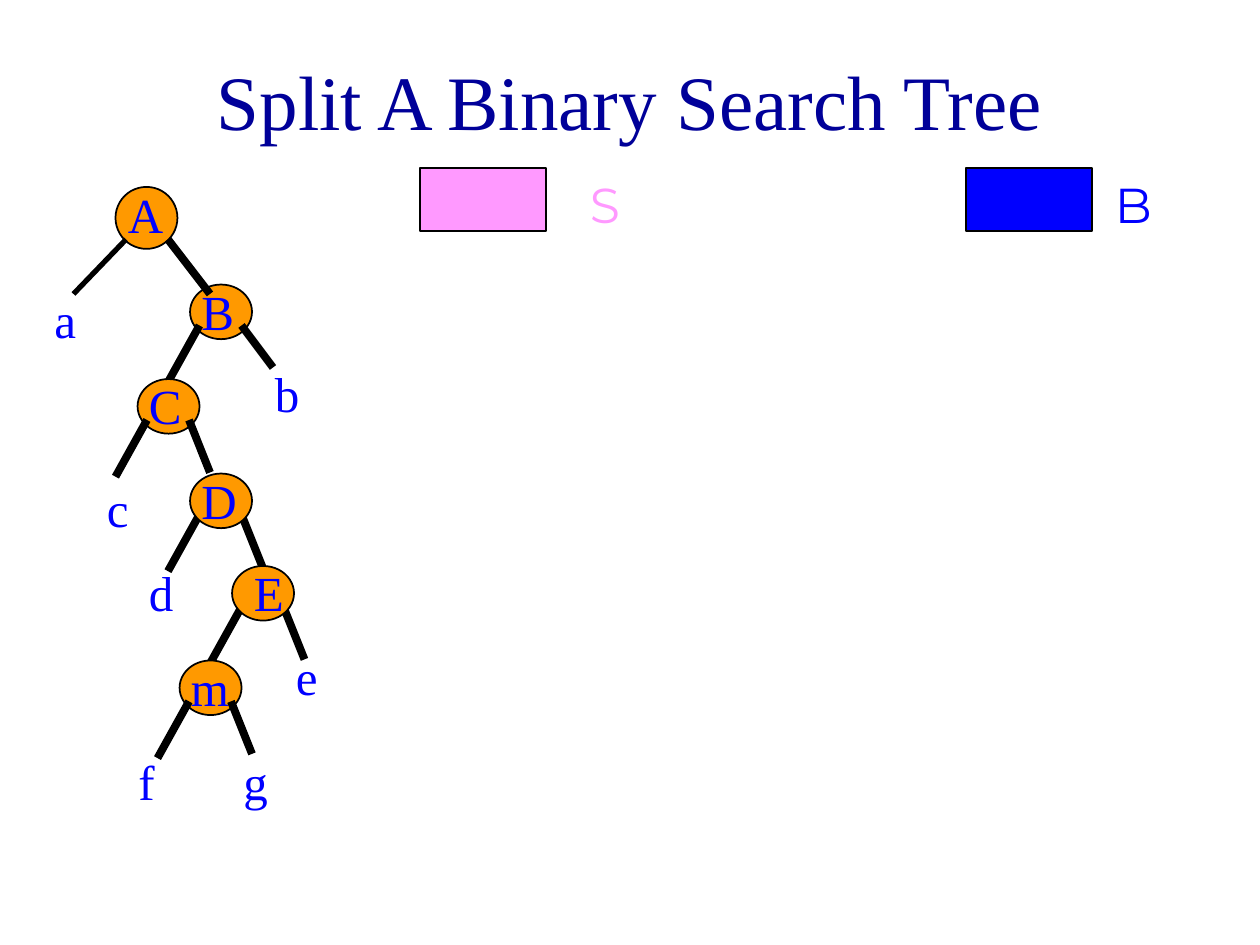
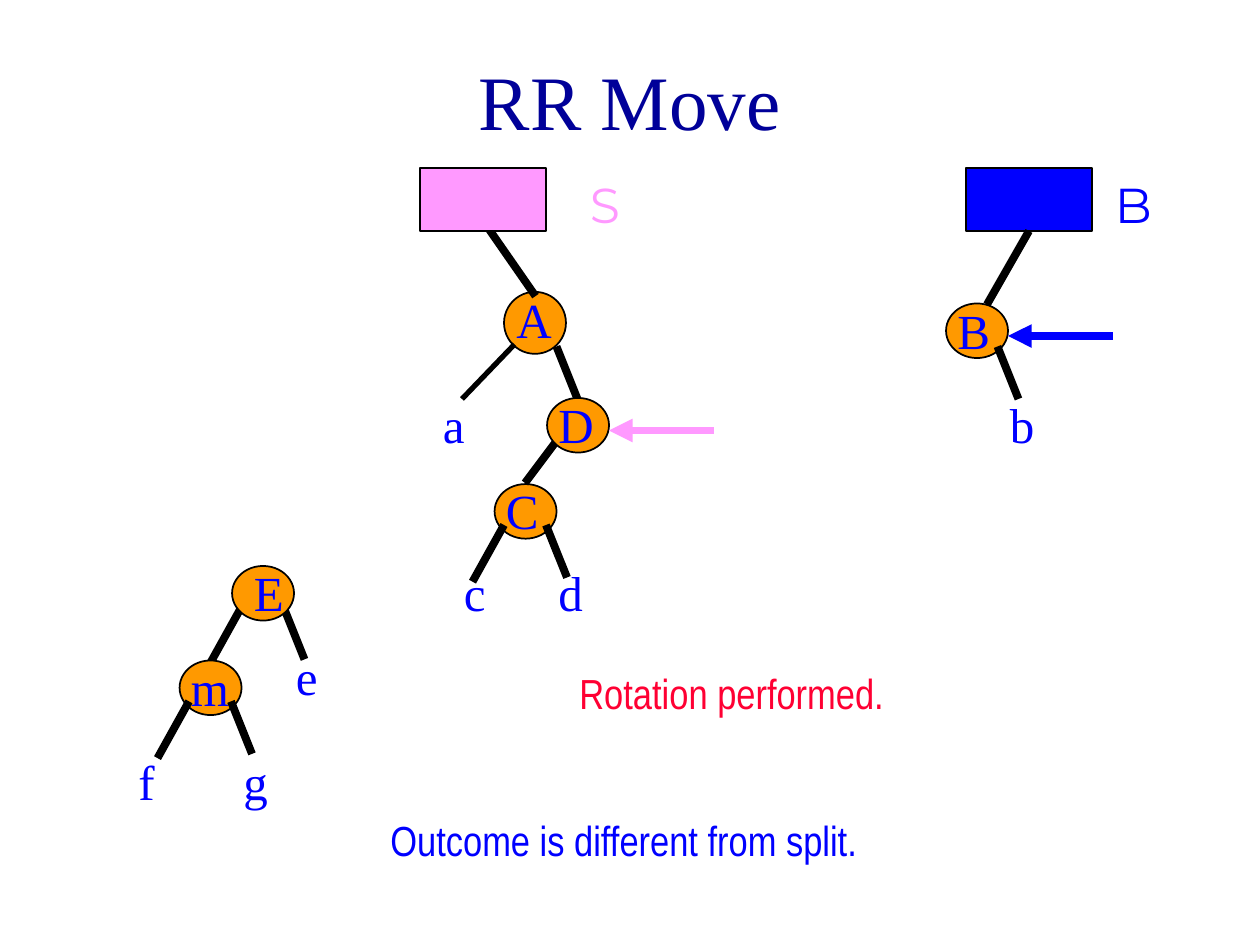
from collections import namedtuple

from lxml import etree
from pptx import Presentation
from pptx.dml.color import RGBColor
from pptx.enum.shapes import MSO_CONNECTOR, MSO_SHAPE
from pptx.enum.text import MSO_ANCHOR, MSO_AUTO_SIZE, PP_ALIGN
from pptx.oxml.ns import qn
from pptx.util import Inches, Pt

OVAL, RECT = MSO_SHAPE.OVAL, MSO_SHAPE.RECTANGLE
LINE = MSO_CONNECTOR.STRAIGHT
LEFT_TEXT, CENTER = PP_ALIGN.LEFT, PP_ALIGN.CENTER
TOP, MIDDLE = MSO_ANCHOR.TOP, MSO_ANCHOR.MIDDLE
FIT, FIXED = MSO_AUTO_SIZE.SHAPE_TO_FIT_TEXT, MSO_AUTO_SIZE.NONE

COLORS = {
    "title": "000099",
    "blue": "0000FF",
    "pink": "FF99FF",
    "node": "FF9900",
    "line": "000000",
    "red": "FF0033",
}
SERIF, SANS, NARROW = "Times New Roman", "Montserrat", "Arial Narrow"

WIDE, HIGH = Inches(10), Inches(7.5)
COLS, ROWS = 120, 90

Node = namedtuple("Node", "name x y arms round shift under", defaults=(False, 0, False))

LEFT = (1, 4.8, -2, 10.2)
RIGHT = (5, 4.8, 7, 9.8)
THIN = (1, 5.8, -4, 11, 3)

UPPER = [
    Node("B", 14, 9.2, [LEFT, (5, 4.8, 8, 8.8)]),
    Node("A", 7, 0, [(5, 5.8, 9, 11), THIN], round=True),
    Node("C", 9, 18.2, [LEFT, RIGHT]),
    Node("D", 14, 27.2, [LEFT, RIGHT], under=True),
]
UPPER_ENDS = [("a", 0, 10), ("b", 21, 17), ("c", 5, 28), ("d", 9, 36)]

LOWER = [
    Node("E", 10, 0, [LEFT, RIGHT], shift=1, under=True),
    Node("m", 5, 9, [LEFT, RIGHT]),
]
LOWER_ENDS = [("e", 15, 8), ("f", 0, 18), ("g", 10, 18)]

SMALL = [
    Node("A", 7, 0, [(3, 1.2, -2, -6), THIN, (5, 6, 7, 11)], round=True),
    Node("C", 6, 18.2, [LEFT, RIGHT]),
    Node("D", 11, 10, [(1, 5, -2, 9)], under=True),
]
SMALL_ENDS = [("a", 0, 10), ("c", 2, 26), ("d", 11, 26)]

BIG = [Node("B", 0, 0, [(5, 5, 7, 10)])]
BIG_ENDS = [("b", 5, 9)]


def col(n):
    return round(WIDE * n / COLS)


def row(n):
    return round(HIGH * n / ROWS)


def place(x, y, w, h):
    return col(x), row(y), col(w), row(h)


def tint(name):
    return RGBColor.from_string(COLORS[name])


def write(slide, box, words, size, font, color, align=LEFT_TEXT, anchor=TOP,
          wrap=True, fit=FIXED, before=0):
    frame = slide.shapes.add_textbox(*place(*box)).text_frame
    frame.word_wrap = wrap
    frame.auto_size = fit
    frame.vertical_anchor = anchor
    para = frame.paragraphs[0]
    para.alignment = align
    para.space_before = Pt(before)
    run = para.add_run()
    run.text = words
    run.font.size = Pt(size)
    run.font.name = font
    run.font.color.rgb = tint(color)


def label(slide, x, y, words, font=SERIF, color="blue", width=6):
    write(slide, (x, y, width, 6.8), words, 28, font, color, fit=FIT, before=17.5)


def solid(slide, kind, box, color):
    shape = slide.shapes.add_shape(kind, *place(*box))
    shape.shadow.inherit = False
    shape.fill.solid()
    shape.fill.fore_color.rgb = tint(color)
    shape.line.color.rgb = tint("line")
    shape.line.width = Pt(1)
    return shape


def stroke(slide, x1, y1, x2, y2, width=4.5, color="line", arrow=False):
    link = slide.shapes.add_connector(LINE, col(x1), row(y1), col(x2), row(y2))
    link.line.color.rgb = tint(color)
    link.line.width = Pt(width)
    props = link._element.spPr
    if arrow:
        etree.SubElement(props.find(qn("a:ln")), qn("a:tailEnd"), type="triangle")
    etree.SubElement(props, qn("a:effectLst"))
    return link


def branch(slide, x, y, arms):
    for x1, y1, x2, y2, *width in arms:
        stroke(slide, x + x1, y + y1, x + x2, y + y2, *width)


def tree(slide, left, top, nodes, ends):
    for node in nodes:
        x, y = left + node.x, top + node.y
        if node.under:
            branch(slide, x, y, node.arms)
        oval = (x, y + 0.8, 5.9, 5.9) if node.round else (x + 0.1, y + 0.9, 5.9, 5.2)
        solid(slide, OVAL, oval, "node")
        label(slide, x + node.shift, y, node.name)
        if not node.under:
            branch(slide, x, y, node.arms)
    for name, x, y in ends:
        label(slide, left + x, top + y, name)


def head(slide, left, name, color, gap):
    rect = solid(slide, RECT, (left, 16, 12, 6), color)
    label(slide, left + gap, 16, name, SANS, color, 11)
    return rect


def small_head(slide):
    head(slide, 40, "S", "pink", 15)


def big_head(slide):
    return head(slide, 92, "B", "blue", 13)


def pointer(slide, x, y, color):
    stroke(slide, x + 10, y, x, y, color=color, arrow=True)


def note(slide, box, words, color):
    write(slide, box, words, 24, NARROW, color, wrap=False)


def start(deck, title):
    slide = deck.slides.add_slide(deck.slide_layouts[6])
    write(slide, (9, 2, 102, 15), title, 44, SERIF, "title", CENTER, MIDDLE)
    return slide


def split_slide(deck):
    slide = start(deck, "Split A Binary Search Tree")
    big_head(slide)
    tree(slide, 4, 17, UPPER, UPPER_ENDS)
    tree(slide, 12, 53, LOWER, LOWER_ENDS)
    small_head(slide)


def move_slide(deck):
    slide = start(deck, "RR Move")
    rect = big_head(slide)
    tree(slide, 90, 28, BIG, BIG_ENDS)
    stroke(slide, 98, 22, 94, 29).begin_connect(rect, 2)
    tree(slide, 41, 27, SMALL, SMALL_ENDS)
    tree(slide, 12, 53, LOWER, LOWER_ENDS)
    pointer(slide, 58, 41, "pink")
    pointer(slide, 96, 32, "blue")
    note(slide, (54, 63, 48.8, 7.6), "Rotation performed.", "red")
    note(slide, (36, 77, 75.6, 7.6), "Outcome is different from split.", "blue")
    small_head(slide)


def main():
    deck = Presentation()
    deck.slide_width, deck.slide_height = WIDE, HIGH
    split_slide(deck)
    move_slide(deck)
    deck.save("out.pptx")


if __name__ == "__main__":
    main()
